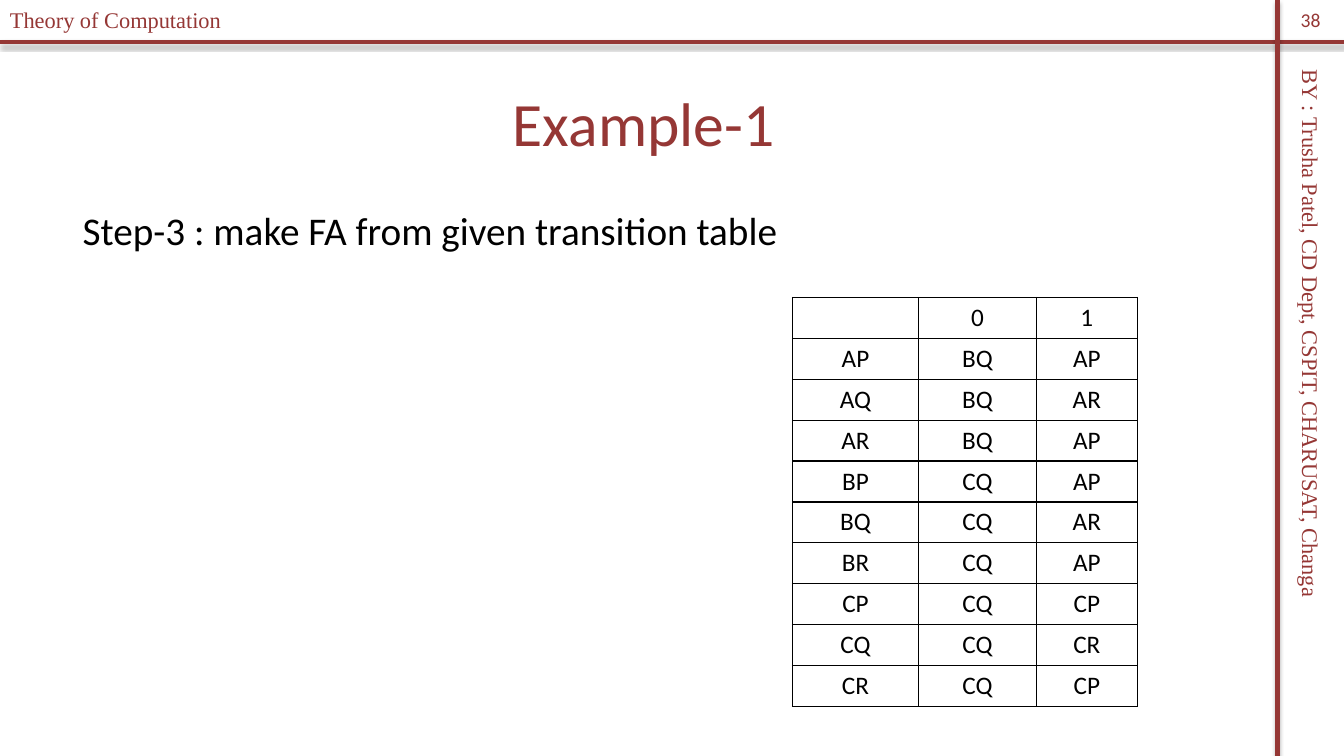
from dataclasses import dataclass

from lxml.etree import SubElement
from pptx import Presentation
from pptx.dml.color import RGBColor
from pptx.enum.shapes import MSO_CONNECTOR
from pptx.enum.text import MSO_ANCHOR, MSO_AUTO_SIZE, PP_ALIGN
from pptx.oxml import parse_xml
from pptx.oxml.ns import nsdecls, qn
from pptx.util import Inches, Pt


@dataclass(frozen=True)
class Theme:
    accent: str = "953735"
    ink: str = "000000"
    sans: str = "Calibri"
    serif: str = "Times New Roman"
    title: int = 44
    body: int = 28
    cell: int = 18
    label: int = 16
    number: int = 14
    rule: int = 3
    border: int = 1


THEME = Theme()
WIDTH, HEIGHT = 13.33, 7.5
RULE_X, RULE_Y = 12.67, 0.42
COLUMN_WIDTHS = (1.25, 1.17, 1)
TRANSITIONS = (
    ("", "0", "1"),
    ("AP", "BQ", "AP"),
    ("AQ", "BQ", "AR"),
    ("AR", "BQ", "AP"),
    ("BP", "CQ", "AP"),
    ("BQ", "CQ", "AR"),
    ("BR", "CQ", "AP"),
    ("CP", "CQ", "CP"),
    ("CQ", "CQ", "CR"),
    ("CR", "CQ", "CP"),
)


def write(frame, text, size, color=THEME.ink, font=THEME.sans,
          align=PP_ALIGN.LEFT, anchor=MSO_ANCHOR.TOP):
    frame.word_wrap = True
    frame.vertical_anchor = anchor
    para = frame.paragraphs[0]
    para.alignment = align
    span = para.add_run()
    span.text = text
    span.font.size = Pt(size)
    span.font.name = font
    span.font.color.rgb = RGBColor.from_string(color)
    return para


def place(shape, box):
    shape.left, shape.top, shape.width, shape.height = map(Inches, box)


def add_label(page, box, text, size=THEME.label, rotation=0, **text_format):
    label = page.shapes.add_textbox(*map(Inches, box))
    label.rotation = rotation
    write(label.text_frame, text, size, THEME.accent, **text_format)


def add_rule(page, start, end):
    """Draw a frame line with a soft shadow below it."""
    rule = page.shapes.add_connector(
        MSO_CONNECTOR.STRAIGHT, *map(Inches, start + end))
    rule.line.color.rgb = RGBColor.from_string(THEME.accent)
    rule.line.width = Pt(THEME.rule)
    rule._element.spPr.append(parse_xml(
        f'<a:effectLst {nsdecls("a")}>'
        f'<a:outerShdw blurRad="{Pt(3.1)}" dist="{Pt(1.8)}" dir="5400000" '
        f'rotWithShape="0"><a:srgbClr val="{THEME.ink}">'
        '<a:alpha val="35000"/></a:srgbClr></a:outerShdw></a:effectLst>'))


def add_page_frame(page, box, number):
    left, top, width, height = box
    rule_x, rule_y = left + RULE_X, top + RULE_Y
    add_rule(page, (left, rule_y), (left + width, rule_y))
    add_rule(page, (rule_x, top), (rule_x, top + height))
    add_label(page, (left + 9.79, top + 3.62, 6.42, 0.37),
              "BY : Trusha Patel, CD Dept, CSPIT, CHARUSAT, Changa",
              rotation=90, font=THEME.serif)
    add_label(page, (left, top + 0.01, 3.29, 0.37),
              "Theory of Computation", font=THEME.serif)
    add_label(page, (rule_x, top, width - RULE_X, 0.4), number, THEME.number,
              align=PP_ALIGN.CENTER, anchor=MSO_ANCHOR.MIDDLE)


def add_heading_and_step(page, box, heading, step):
    left, top, width, height = box
    title, body = page.shapes.title, page.placeholders[1]
    place(title, (left, top, width, 1.25))
    write(title.text_frame, heading, THEME.title, THEME.accent,
          align=PP_ALIGN.CENTER, anchor=MSO_ANCHOR.MIDDLE)
    place(body, (left, top + 1.42, width, height - 1.42))
    para = write(body.text_frame, step, THEME.body)
    para.level = 1
    properties = para._p.get_or_add_pPr()
    properties.set("marL", str(Inches(0.5)))
    properties.set("indent", "0")
    SubElement(properties, qn("a:buNone"))
    for shape in (title, body):
        shape.text_frame.auto_size = MSO_AUTO_SIZE.NONE


def add_cell_borders(cell):
    properties = cell._tc.get_or_add_tcPr()
    for side in "LRTB":
        line = SubElement(properties, qn(f"a:ln{side}"),
                          w=str(Pt(THEME.border)))
        fill = SubElement(line, qn("a:solidFill"))
        SubElement(fill, qn("a:srgbClr"), val=THEME.ink)


def add_transition_table(page, box):
    table = page.shapes.add_table(
        len(TRANSITIONS), len(COLUMN_WIDTHS), *map(Inches, box)).table
    table.first_row = table.horz_banding = False
    for column, width in zip(table.columns, COLUMN_WIDTHS):
        column.width = Inches(width)
    for row, states in enumerate(TRANSITIONS):
        table.rows[row].height = Inches(box[3] / len(TRANSITIONS))
        for column, state in enumerate(states):
            cell = table.cell(row, column)
            add_cell_borders(cell)
            cell.fill.background()
            if state:
                write(cell.text_frame, state, THEME.cell,
                      align=PP_ALIGN.CENTER)


def main():
    deck = Presentation()
    deck.slide_width, deck.slide_height = Inches(WIDTH), Inches(HEIGHT)
    page = deck.slides.add_slide(deck.slide_layouts[1])
    add_page_frame(page, (0, 0, WIDTH, HEIGHT), "38")
    add_heading_and_step(page, (0.22, 0.58, 12.33, 6.67), "Example-1",
                         "Step-3 : make FA from given transition table")
    add_transition_table(page, (7.86, 2.95, sum(COLUMN_WIDTHS), 4.06))
    deck.save("out.pptx")


if __name__ == "__main__":
    main()
